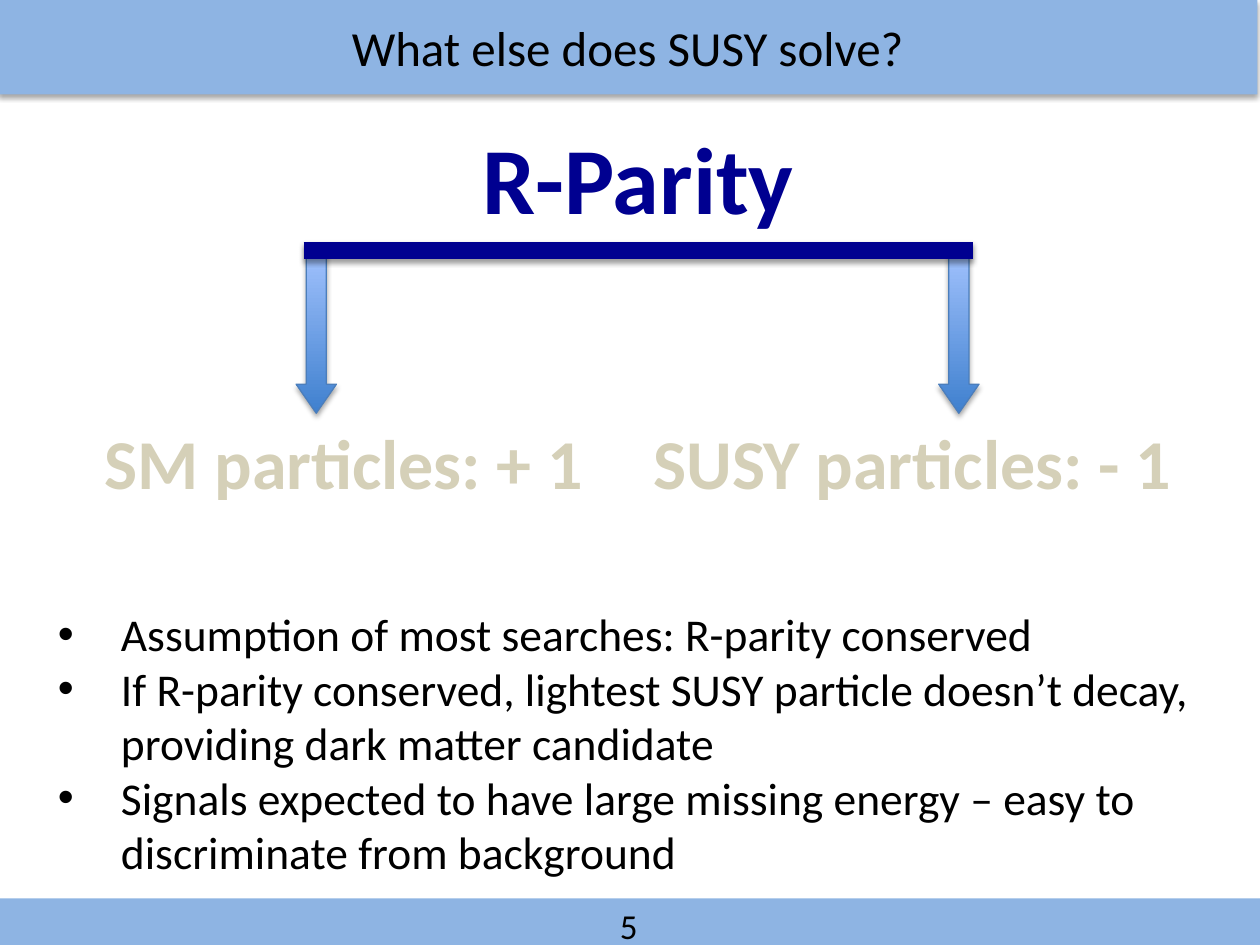
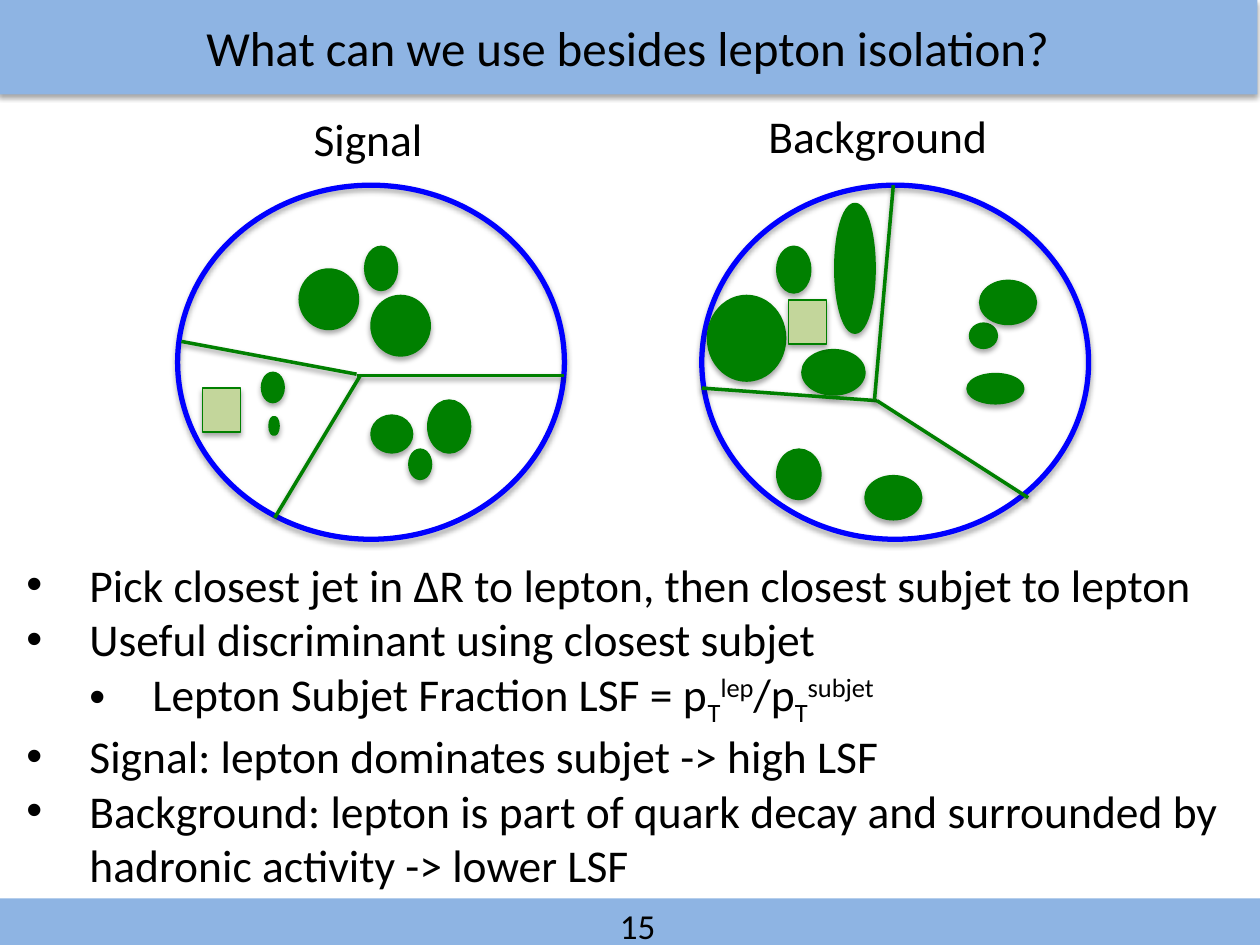
from dataclasses import dataclass
from typing import NamedTuple

from lxml import etree
from pptx import Presentation
from pptx.dml.color import RGBColor
from pptx.enum.shapes import MSO_CONNECTOR, MSO_SHAPE
from pptx.enum.text import MSO_ANCHOR, MSO_AUTO_SIZE, PP_ALIGN
from pptx.oxml.ns import qn
from pptx.util import Inches, Pt

RECT, OVAL, DOWN_ARROW = MSO_SHAPE.RECTANGLE, MSO_SHAPE.OVAL, MSO_SHAPE.DOWN_ARROW
STRAIGHT = MSO_CONNECTOR.STRAIGHT
TOP, MIDDLE = MSO_ANCHOR.TOP, MSO_ANCHOR.MIDDLE
LEFT, CENTER = PP_ALIGN.LEFT, PP_ALIGN.CENTER


def rgb(value: str) -> RGBColor:
    return RGBColor.from_string(value)


@dataclass(frozen=True)
class Theme:
    font: str = "Calibri"
    ink: RGBColor = rgb("000000")
    band: RGBColor = rgb("8EB4E3")
    navy: RGBColor = rgb("000090")
    pale: RGBColor = rgb("D5D0B8")
    arrow_dark: RGBColor = rgb("3F80CE")
    arrow_light: RGBColor = rgb("A4C4FF")
    arrow_line: RGBColor = rgb("4B7EBC")
    jet: RGBColor = rgb("0000FF")
    subjet: RGBColor = rgb("008000")
    lepton: RGBColor = rgb("C3D69B")
    title_size: int = 28
    body_size: int = 26
    number_size: int = 20
    hero_size: int = 54
    parity_size: int = 40


THEME = Theme()


class Box(NamedTuple):
    x: float
    y: float
    w: float
    h: float

    def emu(self) -> tuple:
        return tuple(Inches(v) for v in self)


class Segment(NamedTuple):
    x1: float
    y1: float
    x2: float
    y2: float


class Bullet(NamedTuple):
    runs: list  # (text, baseline percent) pairs
    level: int = 0


class JetView(NamedTuple):
    label: str
    label_box: Box
    jet: Box
    constituents: list[Box]
    borders: list[Segment]
    lepton: Box


TITLE_BOX = Box(-0.02, 0, 10, 0.75)
FOOTER_BOX = Box(0, 7.13, 10, 0.37)
NUMBER_INDENT = 4.92

PARITY_BULLETS = [
    Bullet([("Assumption of most searches: R-parity conserved", 0)]),
    Bullet([("If R-parity conserved, lightest SUSY particle doesn’t decay, "
             "providing dark matter candidate", 0)]),
    Bullet([("Signals expected to have large missing energy – easy to "
             "discriminate from background", 0)]),
]
LSF_BULLETS = [
    Bullet([("Pick closest jet in ΔR to lepton, then closest subjet to lepton", 0)]),
    Bullet([("Useful discriminant using closest subjet", 0)]),
    Bullet([("Lepton Subjet Fraction LSF = p", 0), ("T", -25), ("lep", 30),
            ("/p", 0), ("T", -25), ("subjet", 30)], level=1),
    Bullet([("Signal: lepton dominates subjet -> high LSF", 0)]),
    Bullet([("Background: lepton is part of quark decay and surrounded by "
             "hadronic activity -> lower LSF", 0)]),
]

SIGNAL = JetView(
    "Signal", Box(2.39, 0.83, 1.17, 0.54), Box(1.41, 1.47, 3.07, 2.81),
    [Box(2.96, 2.36, 0.44, 0.45), Box(2.39, 2.15, 0.44, 0.45),
     Box(2.91, 1.97, 0.23, 0.32), Box(3.26, 3.58, 0.15, 0.21),
     Box(3.41, 3.19, 0.31, 0.39), Box(2.96, 3.31, 0.3, 0.27),
     Box(2.09, 2.97, 0.15, 0.21), Box(2.15, 3.32, 0.05, 0.12)],
    [Segment(1.44, 2.71, 2.83, 2.97), Segment(2.83, 2.98, 4.48, 2.98),
     Segment(2.18, 4.11, 2.86, 2.98)],
    Box(1.61, 3.08, 0.3, 0.35))
BACKGROUND = JetView(
    "Background", Box(6, 0.81, 2.16, 0.54), Box(5.57, 1.47, 3.07, 2.81),
    [Box(7.71, 2.58, 0.19, 0.17), Box(6.88, 3.79, 0.42, 0.32),
     Box(6.64, 1.63, 0.29, 1), Box(6.38, 2.79, 0.47, 0.33),
     Box(6.18, 1.97, 0.24, 0.34), Box(5.63, 2.36, 0.59, 0.65),
     Box(6.18, 3.58, 0.32, 0.37), Box(7.79, 2.24, 0.42, 0.32),
     Box(7.69, 2.98, 0.42, 0.21)],
    [Segment(5.57, 3.08, 6.96, 3.18), Segment(6.94, 3.18, 7.09, 1.47),
     Segment(6.96, 3.18, 8.16, 3.95)],
    Box(6.26, 2.38, 0.3, 0.35))


def add_shadow(sp, distance: float, opacity: int) -> None:
    """Give a shape or connector a soft shadow straight below it."""
    sp_pr = sp._element.spPr
    effects = sp_pr.find(qn("a:effectLst"))
    if effects is None:
        effects = etree.SubElement(sp_pr, qn("a:effectLst"))
    shadow = etree.SubElement(effects, qn("a:outerShdw"), blurRad=str(Pt(3.1)),
                              dist=str(Pt(distance)), dir="5400000", rotWithShape="0")
    color = etree.SubElement(shadow, qn("a:srgbClr"), val="000000")
    etree.SubElement(color, qn("a:alpha"), val=str(opacity * 1000))


def add_run(p, text: str, size: int, color: RGBColor = THEME.ink,
            bold: bool = False, baseline: int = 0) -> None:
    r = p.add_run()
    r.text = text
    r.font.name, r.font.size, r.font.bold = THEME.font, Pt(size), bold
    r.font.color.rgb = color
    if baseline:
        r._r.get_or_add_rPr().set("baseline", str(baseline * 1000))


def place(sp, box: Box) -> None:
    sp.left, sp.top, sp.width, sp.height = box.emu()


def add_shape(s, kind, box: Box, fill: RGBColor | None = None,
              line: RGBColor | None = None, weight: float = 0.75,
              shadow: bool = True):
    sp = s.shapes.add_shape(kind, *box.emu())
    sp.shadow.inherit = False
    if fill is None:
        sp.fill.background()
    else:
        sp.fill.solid()
        sp.fill.fore_color.rgb = fill
    if line is None:
        sp.line.fill.background()
    else:
        sp.line.color.rgb = line
        sp.line.width = Pt(weight)
    if shadow:
        add_shadow(sp, 1.8, 35)
    return sp


def add_line(s, segment: Segment, color: RGBColor, weight: float) -> None:
    line = s.shapes.add_connector(STRAIGHT, *(Inches(v) for v in segment))
    line.line.color.rgb = color
    line.line.width = Pt(weight)
    add_shadow(line, 1.6, 38)


def add_label(s, text: str, box: Box, size: int, color: RGBColor = THEME.ink,
              bold: bool = False, align=CENTER) -> None:
    tf = s.shapes.add_textbox(*box.emu()).text_frame
    tf.word_wrap = True
    p = tf.paragraphs[0]
    p.alignment = align
    add_run(p, text, size, color, bold)


def add_bullets(s, box: Box, bullets: list[Bullet]) -> None:
    body = s.placeholders[1]
    place(body, box)
    tf = body.text_frame
    tf.auto_size = MSO_AUTO_SIZE.NONE
    tf.vertical_anchor = TOP
    for i, bullet in enumerate(bullets):
        p = tf.add_paragraph() if i else tf.paragraphs[0]
        p.level = bullet.level
        p_pr = p._p.get_or_add_pPr()
        p_pr.set("marL", str(Inches(0.5 * (bullet.level + 1))))
        p_pr.set("indent", str(Inches(-0.5)))
        etree.SubElement(p_pr, qn("a:buFont"), typeface="Arial")
        etree.SubElement(p_pr, qn("a:buChar"), char="•")
        p.space_before = Pt(0)
        for text, baseline in bullet.runs:
            add_run(p, text, THEME.body_size, baseline=baseline)


def add_base_slide(prs, title: str, number: int, body: Box, bullets: list[Bullet]):
    """Add a slide with its title band, bullet list and numbered footer band."""
    s = prs.slides.add_slide(prs.slide_layouts[1])
    band = s.shapes.title
    place(band, TITLE_BOX)
    band.fill.solid()
    band.fill.fore_color.rgb = THEME.band
    band.shadow.inherit = False
    add_shadow(band, 1.8, 35)
    tf = band.text_frame
    tf.auto_size = MSO_AUTO_SIZE.NONE
    tf.vertical_anchor = MIDDLE
    tf.paragraphs[0].alignment = CENTER
    add_run(tf.paragraphs[0], title, THEME.title_size)

    add_bullets(s, body, bullets)

    footer = add_shape(s, RECT, FOOTER_BOX, THEME.band, shadow=False)
    tf = footer.text_frame
    tf.vertical_anchor = TOP
    tf.margin_left = Inches(NUMBER_INDENT)
    tf.paragraphs[0].alignment = LEFT
    add_run(tf.paragraphs[0], str(number), THEME.number_size)
    return s


def add_parity_arrow(s, center_x: float) -> None:
    width = 0.32
    arrow = add_shape(s, DOWN_ARROW, Box(center_x - width / 2, 1.95, width, 1.33),
                      line=THEME.arrow_line)
    arrow.adjustments[1] = 0.72
    arrow.fill.gradient()
    arrow.fill.gradient_angle = 90
    stops = arrow.fill.gradient_stops
    for stop, color in zip(stops, (THEME.arrow_dark, THEME.arrow_light)):
        stop.color.rgb = color


def add_jet_view(s, view: JetView) -> None:
    add_label(s, view.label, view.label_box, THEME.body_size, align=LEFT)
    add_shape(s, OVAL, view.jet, line=THEME.jet, weight=3)
    for box in view.constituents:
        add_shape(s, OVAL, box, THEME.subjet, THEME.subjet, 3)
    for border in view.borders:
        add_line(s, border, THEME.subjet, 2)
    add_shape(s, RECT, view.lepton, THEME.lepton, THEME.subjet)


def build_parity_slide(prs) -> None:
    s = add_base_slide(prs, "What else does SUSY solve?", 5,
                       Box(0.36, 4.76, 9.21, 2.29), PARITY_BULLETS)
    add_label(s, "R-Parity", Box(3.71, 0.9, 2.71, 1.01),
              THEME.hero_size, THEME.navy, bold=True)
    for center_x in (2.51, 7.61):
        add_parity_arrow(s, center_x)
    add_line(s, Segment(2.41, 1.99, 7.72, 1.99), THEME.navy, 10)
    for text, center_x in (("SM particles: + 1", 2.73), ("SUSY particles: - 1", 7.24)):
        add_label(s, text, Box(center_x - 2.25, 3.28, 4.5, 0.77),
                  THEME.parity_size, THEME.pale, bold=True)


def build_isolation_slide(prs) -> None:
    s = add_base_slide(prs, "What can we use besides lepton isolation?", 15,
                       Box(0.11, 4.37, 9.76, 2.73), LSF_BULLETS)
    for view in (SIGNAL, BACKGROUND):
        add_jet_view(s, view)


def main() -> None:
    prs = Presentation()
    prs.slide_width, prs.slide_height = Inches(10), Inches(7.5)
    build_parity_slide(prs)
    build_isolation_slide(prs)
    prs.save("out.pptx")


if __name__ == "__main__":
    main()
